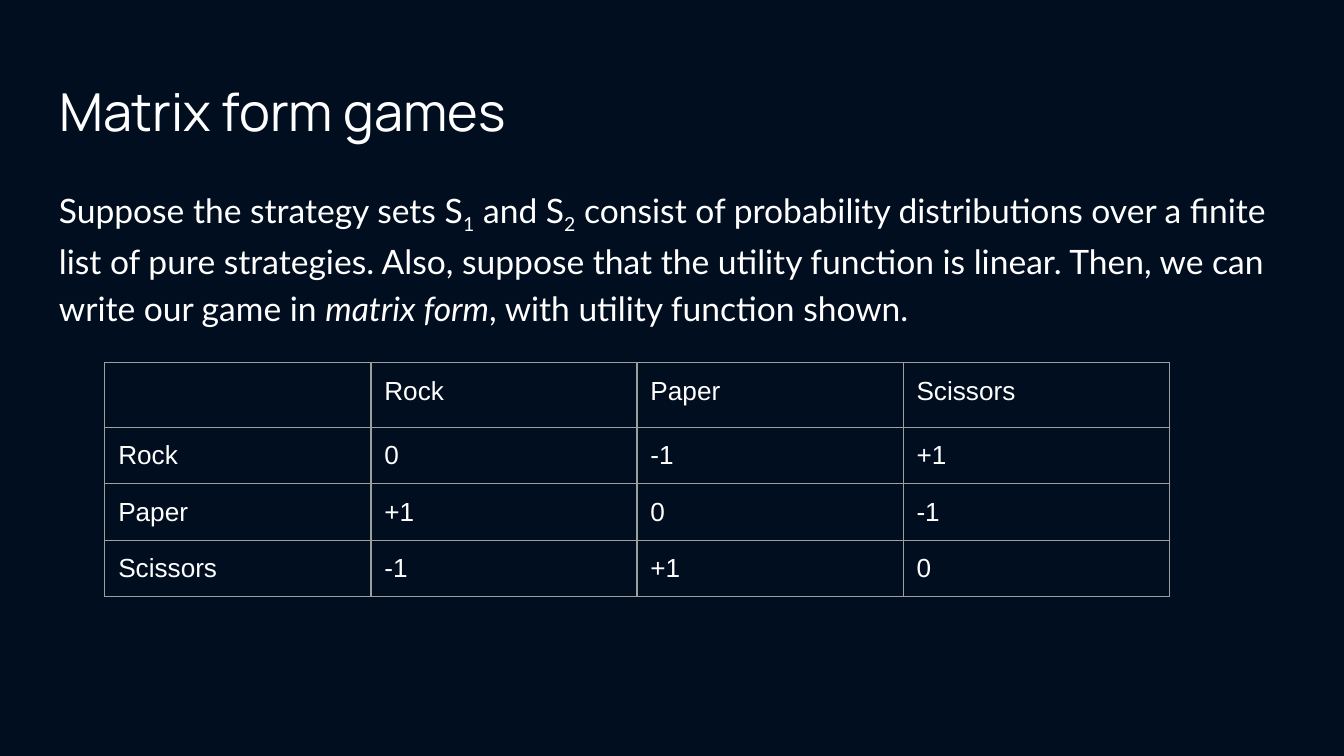
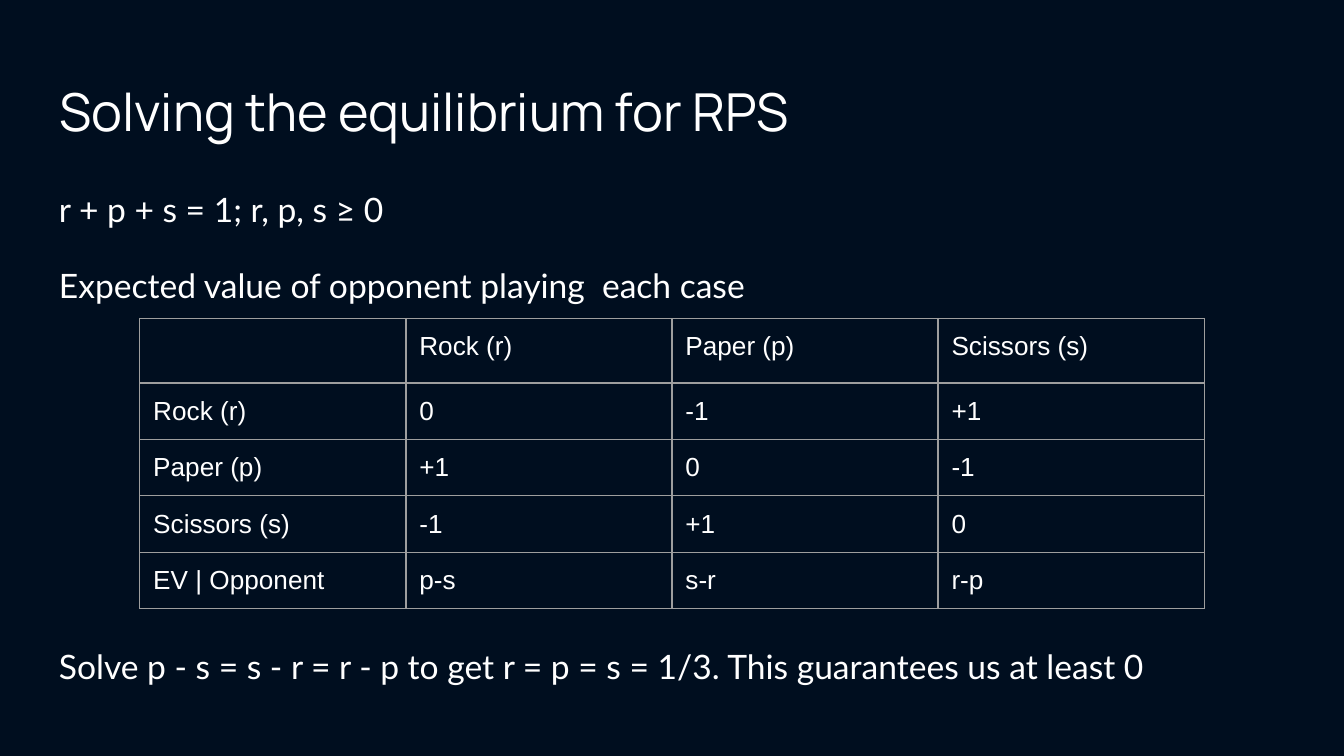
import lxml.etree
import pptx
import pptx.dml.color
import pptx.enum.text
import pptx.oxml
import pptx.oxml.ns
import pptx.util
from dataclasses import dataclass

Inches, Pt = pptx.util.Inches, pptx.util.Pt


@dataclass(frozen=True)
class Theme:
    background: str = "000E1F"
    ink: str = "FFFFFF"
    rule: str = "9E9E9E"
    title_font: str = "Manrope"
    body_font: str = "Lato"
    table_font: str = "Arial"
    title_size: int = 28
    body_size: int = 18
    table_size: int = 14
    corner_size: int = 18
    rule_width: float = 0.75
    line_spacing: float = 1.15


THEME = Theme()
WIDTH = 10
HEIGHT = WIDTH * 9 / 16
MARGIN, INSET = 0.34, 0.1
TITLE_BOX = (MARGIN, 0.49, WIDTH - 2 * MARGIN, 0.63)
BODY_BOX = (MARGIN, 1.26, WIDTH - 2 * MARGIN, 3.74)
COLUMN, ROW = 1.98, 0.42
TITLE_ONLY = 5
PLAIN, SUB, ITALIC = "plain", "sub", "italic"

# Each paragraph is (space before in points, runs); each run is (text, style).
SLIDES = [
    {
        "title": "Matrix form games",
        "body": [
            (0, [
                ("Suppose the strategy sets S", PLAIN),
                ("1", SUB),
                (" and S", PLAIN),
                ("2", SUB),
                (" consist of probability distributions over a finite list of "
                 "pure strategies. Also, suppose that the utility function is "
                 "linear. Then, we can write our game in ", PLAIN),
                ("matrix form", ITALIC),
                (", with utility function shown.", PLAIN),
            ]),
        ],
        "payoffs_at": (0.78, 2.7),
        "payoffs": [
            ["", "Rock", "Paper", "Scissors"],
            ["Rock", "0", "-1", "+1"],
            ["Paper", "+1", "0", "-1"],
            ["Scissors", "-1", "+1", "0"],
        ],
    },
    {
        "title": "Solving the equilibrium for RPS",
        "body": [
            (0, [("r + p + s = 1; r, p, s ≥ 0", PLAIN)]),
            (16, [("Expected value of opponent playing  each case", PLAIN)]),
            (179.4, [("Solve p - s = s - r = r - p to get r = p = s = 1/3. "
                      "This guarantees us at least 0", PLAIN)]),
        ],
        "payoffs_at": (1.04, 2.37),
        "payoffs": [
            ["", "Rock (r)", "Paper (p)", "Scissors (s)"],
            ["Rock (r)", "0", "-1", "+1"],
            ["Paper (p)", "+1", "0", "-1"],
            ["Scissors (s)", "-1", "+1", "0"],
            ["EV | Opponent", "p-s", "s-r", "r-p"],
        ],
    },
]


def rgb(value):
    return pptx.dml.color.RGBColor.from_string(value)


def add_run(paragraph, text, font, size, style=PLAIN):
    run = paragraph.add_run()
    run.text = text
    run.font.name = font
    run.font.size = Pt(size)
    run.font.color.rgb = rgb(THEME.ink)
    if style == ITALIC:
        run.font.italic = True
    elif style == SUB:
        run.font._element.set("baseline", "-25000")


def set_insets(holder):
    """Give a text frame or table cell the same inset on all sides."""
    holder.margin_left = holder.margin_right = Inches(INSET)
    holder.margin_top = holder.margin_bottom = Inches(INSET)


def prepare_frame(frame):
    set_insets(frame)
    frame.word_wrap = True
    frame.auto_size = pptx.enum.text.MSO_AUTO_SIZE.NONE
    frame.vertical_anchor = pptx.enum.text.MSO_ANCHOR.TOP


def add_title(slide, text):
    title = slide.shapes.title
    title.left, title.top, title.width, title.height = map(Inches, TITLE_BOX)
    prepare_frame(title.text_frame)
    paragraph = title.text_frame.paragraphs[0]
    paragraph.alignment = pptx.enum.text.PP_ALIGN.LEFT
    add_run(paragraph, text, THEME.title_font, THEME.title_size)


def add_body(slide, paragraphs):
    frame = slide.shapes.add_textbox(*map(Inches, BODY_BOX)).text_frame
    prepare_frame(frame)
    for index, (space_before, runs) in enumerate(paragraphs):
        paragraph = frame.add_paragraph() if index else frame.paragraphs[0]
        paragraph.line_spacing = THEME.line_spacing
        paragraph.space_before = Pt(space_before)
        for text, style in runs:
            add_run(paragraph, text, THEME.body_font, THEME.body_size, style)


def add_borders(cell):
    properties = cell._tc.get_or_add_tcPr()
    for side in ("lnL", "lnR", "lnT", "lnB"):
        properties.append(pptx.oxml.parse_xml(
            f'<a:{side} {pptx.oxml.ns.nsdecls("a")} w="{Pt(THEME.rule_width)}">'
            f'<a:solidFill><a:srgbClr val="{THEME.rule}"/></a:solidFill>'
            f'</a:{side}>'))


def size_empty_cell(paragraph):
    """Set the type of a blank cell, which decides the header row's height."""
    qn = pptx.oxml.ns.qn
    ending = lxml.etree.SubElement(
        paragraph._p, qn("a:endParaRPr"), sz=str(THEME.corner_size * 100))
    lxml.etree.SubElement(ending, qn("a:latin"), typeface=THEME.table_font)


def add_payoffs(slide, corner, rows):
    columns = len(rows[0])
    size = (columns * COLUMN, len(rows) * ROW)
    table = slide.shapes.add_table(
        len(rows), columns, *map(Inches, corner + size)).table
    table.first_row = table.horz_banding = False
    for column in table.columns:
        column.width = Inches(COLUMN)
    for r, labels in enumerate(rows):
        table.rows[r].height = Inches(ROW)
        for c, label in enumerate(labels):
            cell = table.cell(r, c)
            set_insets(cell)
            add_borders(cell)
            cell.fill.background()
            paragraph = cell.text_frame.paragraphs[0]
            if label:
                add_run(paragraph, label, THEME.table_font, THEME.table_size)
            else:
                size_empty_cell(paragraph)


def main():
    deck = pptx.Presentation()
    deck.slide_width, deck.slide_height = Inches(WIDTH), Inches(HEIGHT)
    backdrop = deck.slide_master.background.fill
    backdrop.solid()
    backdrop.fore_color.rgb = rgb(THEME.background)
    for content in SLIDES:
        slide = deck.slides.add_slide(deck.slide_layouts[TITLE_ONLY])
        add_title(slide, content["title"])
        add_body(slide, content["body"])
        add_payoffs(slide, content["payoffs_at"], content["payoffs"])
    deck.save("out.pptx")


if __name__ == "__main__":
    main()
